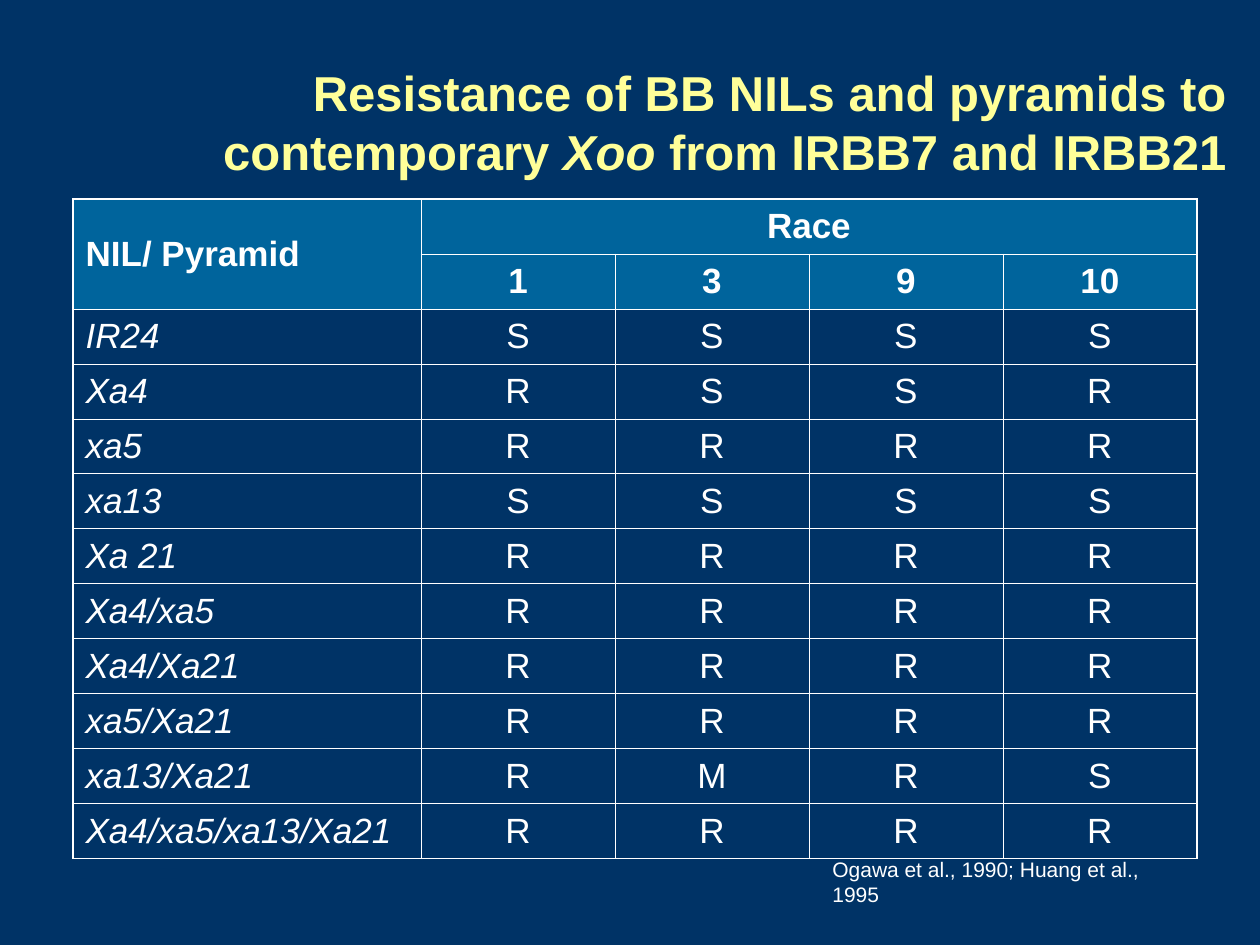
import pptx
import pptx.dml.color
import pptx.enum.text
import pptx.oxml.ns
import pptx.util
from lxml import etree

PX = 914400 // 126
FONT = "Arial"
WHITE, YELLOW, NAVY, BLUE = "FFFFFF", "FFFF99", "003366", "00649C"
THIN, THICK = 0.45, 1.08
RACES = ["1", "3", "9", "10"]
REACTIONS = [
    ("IR24", "SSSS"),
    ("Xa4", "RSSR"),
    ("xa5", "RRRR"),
    ("xa13", "SSSS"),
    ("Xa 21", "RRRR"),
    ("Xa4/xa5", "RRRR"),
    ("Xa4/Xa21", "RRRR"),
    ("xa5/Xa21", "RRRR"),
    ("xa13/Xa21", "RMRS"),
    ("Xa4/xa5/xa13/Xa21", "RRRR"),
]
LINE_COLUMN, RACE_COLUMN, ROW = 348, 194, 55
ALIGN = pptx.enum.text.PP_ALIGN
MIDDLE = pptx.enum.text.MSO_ANCHOR.MIDDLE
AUTO_SIZE = pptx.enum.text.MSO_AUTO_SIZE


def px(*lengths):
    return [pptx.util.Emu(length * PX) for length in lengths]


def rgb(colour):
    return pptx.dml.color.RGBColor.from_string(colour)


def format_run(run, size, colour, bold=False, italic=False):
    run.font.name = FONT
    run.font.size = pptx.util.Pt(size)
    run.font.color.rgb = rgb(colour)
    run.font.bold = bold
    run.font.italic = italic


def add_heading(slide):
    heading = slide.shapes.title
    heading.left, heading.top, heading.width, heading.height = px(168, 42, 1071, 158)
    frame = heading.text_frame
    frame.word_wrap = True
    frame.auto_size = AUTO_SIZE.NONE
    frame.vertical_anchor = MIDDLE
    paragraph = frame.paragraphs[0]
    paragraph.alignment = ALIGN.RIGHT
    for words, italic in [
        ("Resistance of BB NILs and pyramids to contemporary ", False),
        ("Xoo", True),
        (" from IRBB7 and IRBB21", False),
    ]:
        run = paragraph.add_run()
        run.text = words
        format_run(run, 28, YELLOW, bold=True, italic=italic)


def add_citation(slide):
    citation = slide.shapes.add_textbox(*px(820, 850, 384, 38))
    frame = citation.text_frame
    frame.word_wrap = False
    frame.auto_size = AUTO_SIZE.SHAPE_TO_FIT_TEXT
    frame.text = "Ogawa et al., 1990; Huang et al., 1995"
    format_run(frame.paragraphs[0].runs[0], 12, WHITE)


def set_borders(cell, widths):
    """Draw the left, right, top and bottom borders, in that order."""
    properties = cell._tc.get_or_add_tcPr()
    qn = pptx.oxml.ns.qn
    for side, width in zip("LRTB", widths):
        line = etree.SubElement(properties, qn(f"a:ln{side}"), w=str(pptx.util.Pt(width)))
        fill = etree.SubElement(line, qn("a:solidFill"))
        etree.SubElement(fill, qn("a:srgbClr"), val=WHITE)


def fill_cell(cell, words, header, first_column):
    cell.vertical_anchor = MIDDLE
    if header:
        cell.fill.solid()
        cell.fill.fore_color.rgb = rgb(BLUE)
    else:
        cell.fill.background()
    cell.text_frame.text = words
    paragraph = cell.text_frame.paragraphs[0]
    paragraph.alignment = ALIGN.LEFT if first_column else ALIGN.CENTER
    for run in paragraph.runs:
        format_run(run, 20, WHITE, bold=header, italic=first_column and not header)


def add_resistance_table(slide):
    rows = [["NIL/ Pyramid", "Race", "", "", ""], ["", *RACES]]
    rows += [[line, *reactions] for line, reactions in REACTIONS]
    row_count, column_count = len(rows), len(RACES) + 1
    width = LINE_COLUMN + RACE_COLUMN * len(RACES)
    frame = slide.shapes.add_table(
        row_count, column_count, *px(73, 199, width, ROW * row_count))
    table = frame.table
    table.horz_banding = False
    for index, column in enumerate(table.columns):
        column.width = px(RACE_COLUMN if index else LINE_COLUMN)[0]
    for row in table.rows:
        row.height = px(ROW)[0]

    # Header spans
    table.cell(0, 0).merge(table.cell(1, 0))
    table.cell(0, 1).merge(table.cell(0, column_count - 1))

    # Cells, with a heavier outer frame
    for r, row in enumerate(rows):
        for c, words in enumerate(row):
            cell = table.cell(r, c)
            outer = (c == 0, c + cell.span_width == column_count or c == column_count - 1,
                     r == 0, r == row_count - 1)
            set_borders(cell, [THICK if edge else THIN for edge in outer])
            fill_cell(cell, words, header=r < 2, first_column=c == 0)


def main():
    deck = pptx.Presentation()
    deck.slide_width, deck.slide_height = px(1260, 945)
    slide = deck.slides.add_slide(deck.slide_layouts[5])
    slide.background.fill.solid()
    slide.background.fill.fore_color.rgb = rgb(NAVY)
    add_citation(slide)
    add_heading(slide)
    add_resistance_table(slide)
    deck.save("out.pptx")


if __name__ == "__main__":
    main()
